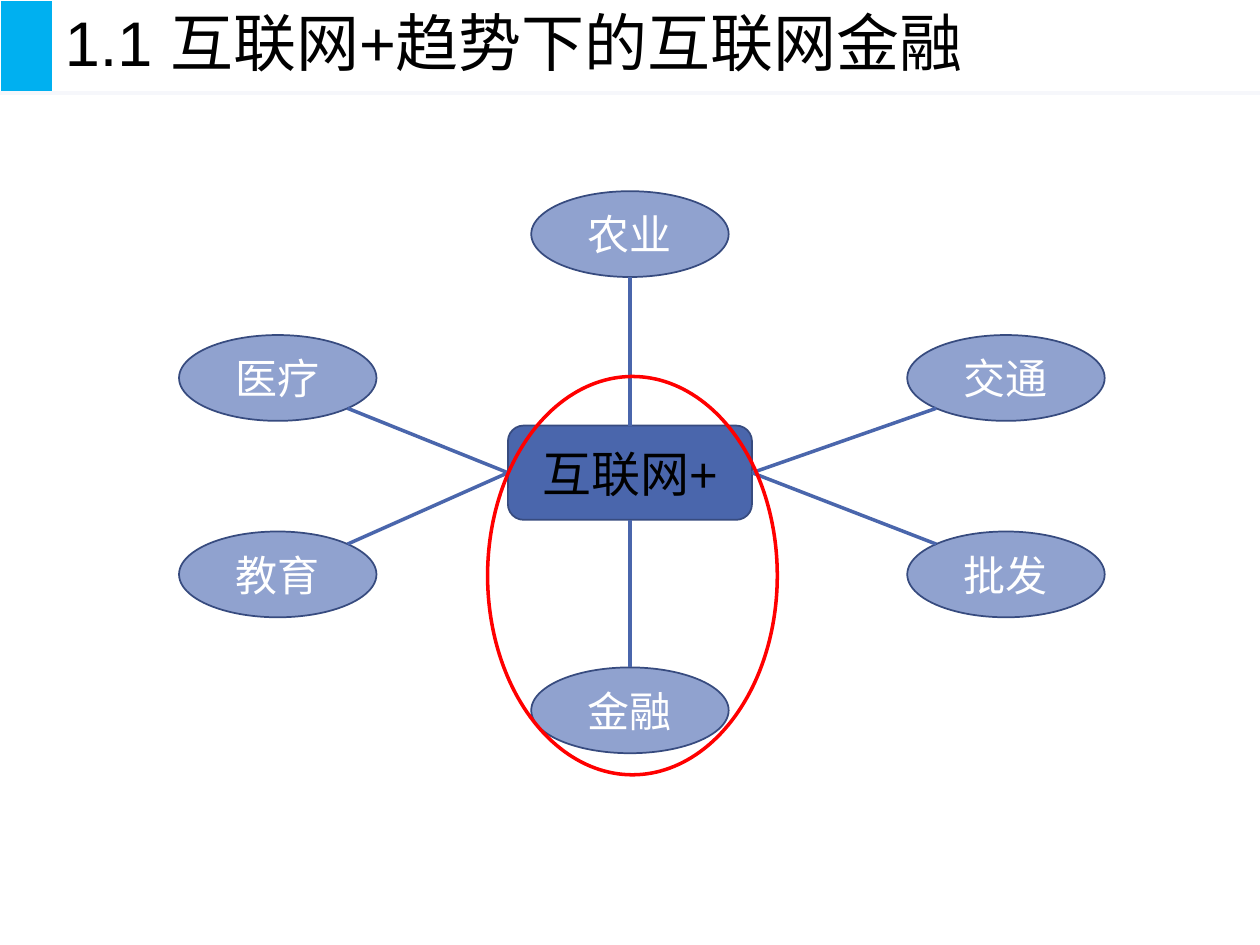
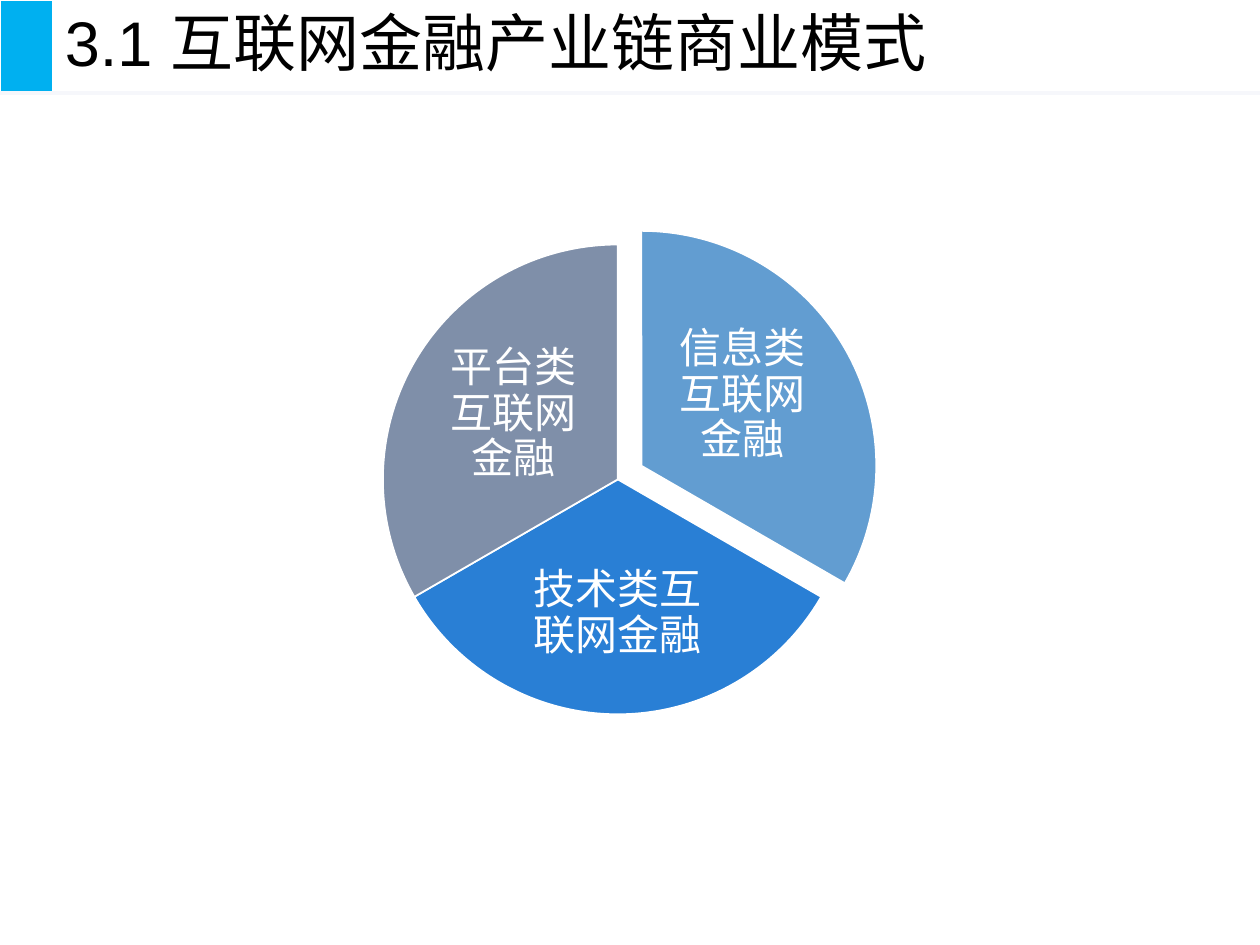
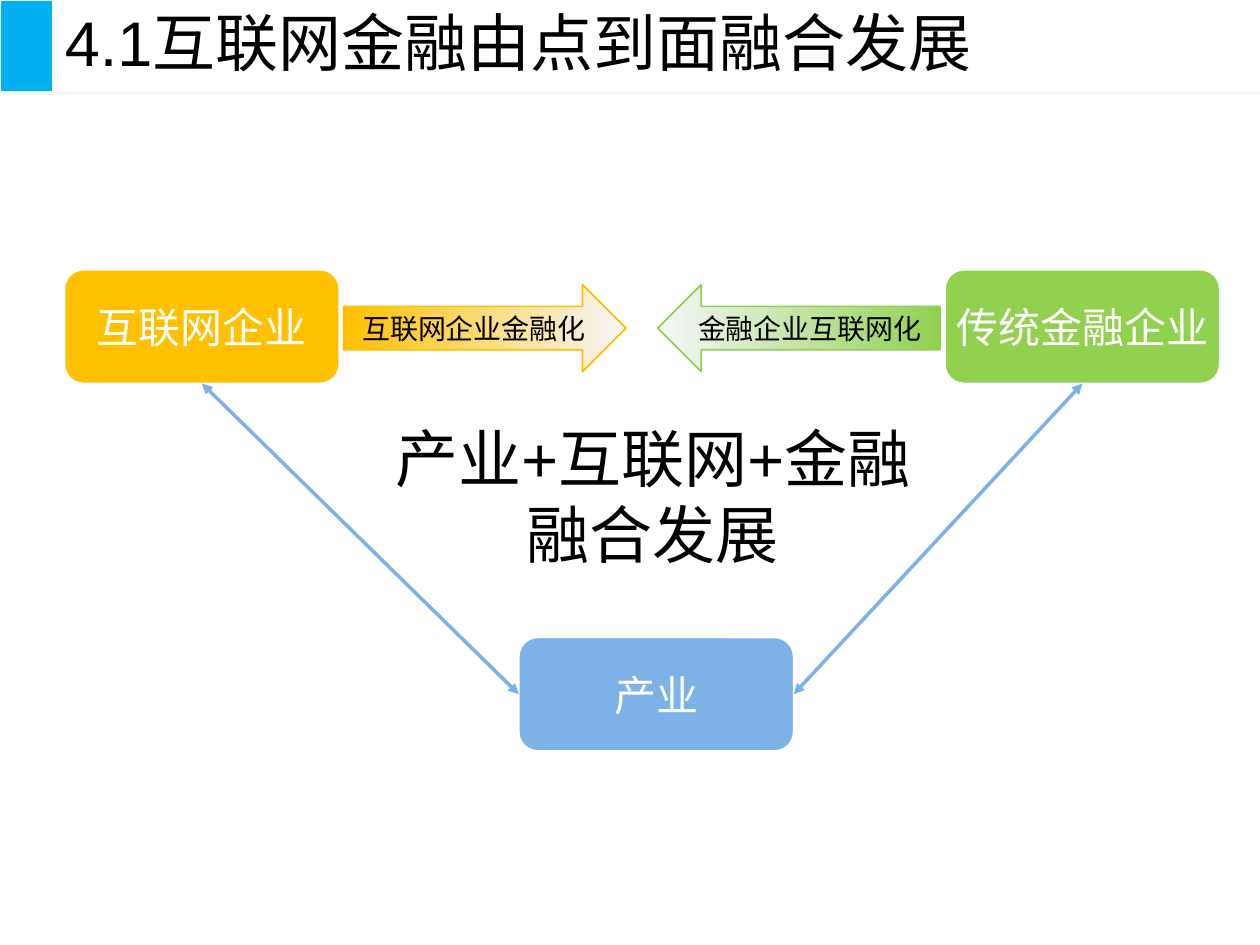
from dataclasses import dataclass
from math import cos, radians, sin, sqrt

from lxml import etree
from pptx import Presentation
from pptx.dml.color import RGBColor
from pptx.enum.lang import MSO_LANGUAGE_ID
from pptx.enum.shapes import MSO_CONNECTOR, MSO_SHAPE
from pptx.enum.text import MSO_ANCHOR, PP_ALIGN
from pptx.oxml.ns import qn
from pptx.util import Cm, Pt

RECT, ROUNDED, ELLIPSE = MSO_SHAPE.RECTANGLE, MSO_SHAPE.ROUNDED_RECTANGLE, MSO_SHAPE.OVAL
PIE, RIGHT_ARROW, LEFT_ARROW = MSO_SHAPE.PIE, MSO_SHAPE.RIGHT_ARROW, MSO_SHAPE.LEFT_ARROW
STRAIGHT = MSO_CONNECTOR.STRAIGHT
LEFT, CENTER = PP_ALIGN.LEFT, PP_ALIGN.CENTER
TOP, MIDDLE = MSO_ANCHOR.TOP, MSO_ANCHOR.MIDDLE
CHINESE = MSO_LANGUAGE_ID.SIMPLIFIED_CHINESE


@dataclass(frozen=True)
class Theme:
    font: str = "Arial"
    black: str = "000000"
    white: str = "FFFFFF"
    pale: str = "F6F7FB"
    accent: str = "00B0F0"
    hub: str = "4A66AC"
    hub_edge: str = "374B7F"
    branch: str = "90A2CF"
    highlight: str = "FF0000"
    info: str = "629DD1"
    technology: str = "297FD5"
    platform: str = "7F8FA9"
    internet: str = "FFC000"
    finance: str = "92D050"
    industry: str = "7EB2E6"
    title_size: int = 36
    hub_size: int = 28
    label_size: int = 24
    arrow_size: int = 16


THEME = Theme()


@dataclass(frozen=True)
class Frame:
    """A rectangle in centimetres."""
    left: float
    top: float
    width: float
    height: float

    def emu(self) -> tuple:
        return Cm(self.left), Cm(self.top), Cm(self.width), Cm(self.height)

    def point(self, across: float, down: float) -> tuple[float, float]:
        """Point at -1..1 of the half width and half height from the centre."""
        return (self.left + self.width * (1 + across) / 2,
                self.top + self.height * (1 + down) / 2)


@dataclass(frozen=True)
class Branch:
    label: str
    center_x: float
    center_y: float
    side_x: int
    side_y: int


@dataclass(frozen=True)
class Slice:
    label: str
    color: str
    start: int
    text_frame: Frame
    pull: float = 0


@dataclass(frozen=True)
class Party:
    label: str
    color: str
    frame: Frame
    side_inset: float = 0.25


@dataclass(frozen=True)
class Push:
    label: str
    kind: MSO_SHAPE
    color: str
    left: float
    angle: int


BRANCHES = [
    Branch("农业", 12.7, 4.72, 0, -1),
    Branch("医疗", 5.6, 7.62, -1, -1),
    Branch("教育", 5.6, 11.58, -1, 1),
    Branch("金融", 12.7, 14.32, 0, 1),
    Branch("批发", 20.28, 11.58, 1, 1),
    Branch("交通", 20.28, 7.62, 1, -1),
]
SLICES = [
    Slice("信息类互联网金融", THEME.info, 270, Frame(13.36, 6.4, 3.23, 3.15), pull=0.55),
    Slice("技术类互联网金融", THEME.technology, 30, Frame(10.31, 10.9, 4.29, 2.95)),
    Slice("平台类互联网金融", THEME.platform, 150, Frame(8.74, 6.78, 3.23, 3.15)),
]
INTERNET = Party("互联网企业", THEME.internet, Frame(1.3, 5.44, 5.54, 2.29))
INDUSTRY = Party("产业", THEME.industry, Frame(10.46, 12.85, 5.54, 2.29))
FINANCE = Party("传统金融企业", THEME.finance, Frame(19.05, 5.44, 5.54, 2.29), side_inset=0)
PUSHES = [
    Push("互联网企业金融化", RIGHT_ARROW, THEME.internet, 6.93, 180),
    Push("金融企业互联网化", LEFT_ARROW, THEME.finance, 13.26, 0),
]


def rgb(color: str) -> RGBColor:
    return RGBColor.from_string(color)


def write(shape, text: str, *, size: int = THEME.label_size, color: str = THEME.white,
          align=CENTER, anchor=MIDDLE, spacing: float = 1.0,
          side_inset: float = 0.25, end_inset: float = 0.13) -> None:
    frame = shape.text_frame
    frame.word_wrap = True
    frame.vertical_anchor = anchor
    frame.margin_left = frame.margin_right = Cm(side_inset)
    frame.margin_top = frame.margin_bottom = Cm(end_inset)
    paragraph = frame.paragraphs[0]
    paragraph.alignment = align
    paragraph.line_spacing = spacing
    run = paragraph.add_run()
    run.text = text
    run.font.name = THEME.font
    run.font.size = Pt(size)
    run.font.color.rgb = rgb(color)
    run.font.language_id = CHINESE


def add_text(slide, frame: Frame, text: str, **style) -> None:
    write(slide.shapes.add_textbox(*frame.emu()), text, **style)


def add_figure(slide, kind, frame: Frame, *, fill: str | None = None,
               edge: str = THEME.white, weight: float = 1):
    figure = slide.shapes.add_shape(kind, *frame.emu())
    figure.shadow.inherit = False
    if fill:
        figure.fill.solid()
        figure.fill.fore_color.rgb = rgb(fill)
    else:
        figure.fill.background()
    figure.line.color.rgb = rgb(edge)
    figure.line.width = Pt(weight)
    return figure


def add_line(slide, start: tuple[float, float], end: tuple[float, float], color: str, *,
             weight: float = 2, arrows: bool = False) -> None:
    line = slide.shapes.add_connector(STRAIGHT, *(Cm(v) for v in (*start, *end)))
    line.line.color.rgb = rgb(color)
    line.line.width = Pt(weight)
    if arrows:
        outline = line.line._get_or_add_ln()
        for tag in ("a:headEnd", "a:tailEnd"):
            etree.SubElement(outline, qn(tag), type="triangle")
    etree.SubElement(line._element.spPr, qn("a:effectLst"))


def add_titled_slide(deck, title: str):
    slide = deck.slides.add_slide(deck.slide_layouts[6])
    add_figure(slide, RECT, Frame(0, 0, 1.06, 1.85), fill=THEME.accent)
    add_line(slide, (0, 1.88), (25.4, 1.88), THEME.pale, weight=2.5)
    add_text(slide, Frame(1.06, 0, 24.34, 1.85), title, size=THEME.title_size,
             color=THEME.black, align=LEFT, spacing=0.9)
    return slide


def build_trend(deck) -> None:
    slide = add_titled_slide(deck, "1.1 互联网+趋势下的互联网金融")
    hub = Frame(10.24, 8.58, 4.92, 1.9)
    center = add_figure(slide, ROUNDED, hub, fill=THEME.hub, edge=THEME.hub_edge)
    write(center, "互联网+", size=THEME.hub_size, color=THEME.black)

    width, height = 3.98, 1.73
    links = []
    for branch in BRANCHES:
        frame = Frame(branch.center_x - width / 2, branch.center_y - height / 2, width, height)
        bubble = add_figure(slide, ELLIPSE, frame, fill=THEME.branch, edge=THEME.hub_edge)
        write(bubble, branch.label)
        if branch.side_x:
            diagonal = sqrt(0.5)
            links.append((hub.point(branch.side_x, 0),
                          frame.point(-branch.side_x * diagonal, -branch.side_y * diagonal)))
        else:
            links.append((hub.point(0, branch.side_y), frame.point(0, -branch.side_y)))
    for start, end in links:
        add_line(slide, start, end, THEME.hub)
    add_figure(slide, ELLIPSE, Frame(9.83, 7.59, 5.84, 8.03), edge=THEME.highlight, weight=2)


def build_models(deck) -> None:
    slide = add_titled_slide(deck, "3.1 互联网金融产业链商业模式")
    left, top, diameter, sweep = 7.72, 4.93, 9.47, 120
    for part in SLICES:
        middle = radians(part.start + sweep / 2)
        frame = Frame(left + part.pull * cos(middle), top + part.pull * sin(middle),
                      diameter, diameter)
        wedge = add_figure(slide, PIE, frame, fill=part.color)
        # Angles count in 60000ths of a degree, adjustments in 100000ths.
        wedge.adjustments[0] = part.start * 0.6
        wedge.adjustments[1] = (part.start + sweep) % 360 * 0.6
        add_text(slide, part.text_frame, part.label, spacing=0.9,
                 side_inset=0.08, end_inset=0.08)


def build_fusion(deck) -> None:
    slide = add_titled_slide(deck, "4.1互联网金融由点到面融合发展")
    for party in (INTERNET, INDUSTRY, FINANCE):
        box = add_figure(slide, ROUNDED, party.frame, fill=party.color)
        write(box, party.label, side_inset=party.side_inset)
    for push in PUSHES:
        arrow = add_figure(slide, push.kind, Frame(push.left, 5.74, 5.69, 1.75), edge=push.color)
        arrow.fill.gradient()
        arrow.fill.gradient_angle = push.angle
        for stop, color in zip(arrow.fill.gradient_stops, (THEME.pale, push.color)):
            stop.color.rgb = rgb(color)
        write(arrow, push.label, size=THEME.arrow_size, color=THEME.black)
    for party, side in ((FINANCE, 1), (INTERNET, -1)):
        add_line(slide, party.frame.point(0, 1), INDUSTRY.frame.point(side, 0),
                 THEME.industry, arrows=True)
    add_text(slide, Frame(7.37, 8.33, 11.58, 3.33), "产业+互联网+金融融合发展",
             size=THEME.title_size, color=THEME.black, anchor=TOP)


def main() -> None:
    deck = Presentation()
    deck.slide_width, deck.slide_height = Cm(25.4), Cm(19.05)
    for build in (build_trend, build_models, build_fusion):
        build(deck)
    deck.save("out.pptx")


if __name__ == "__main__":
    main()
